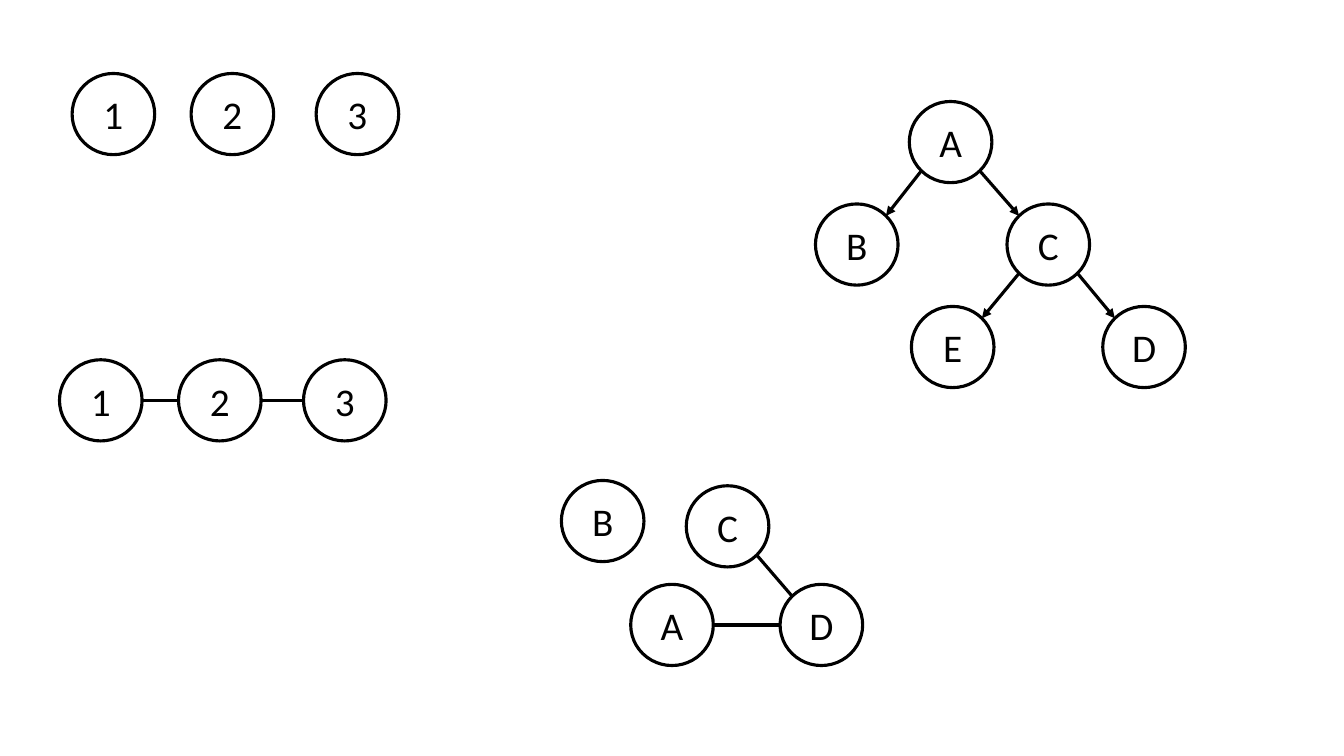
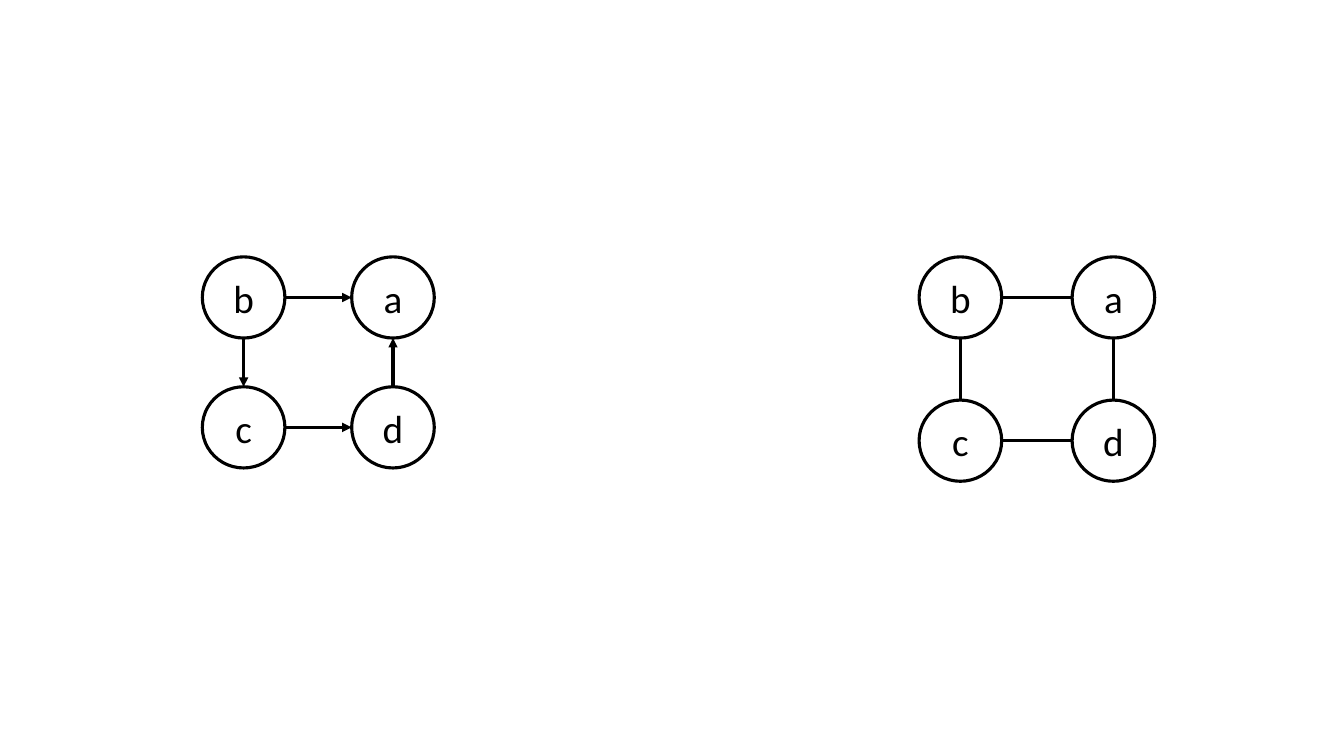
"""Build two slides of small graphs made of labelled circles and edges."""
from lxml import etree
from math import cos, pi, sin
from pptx import Presentation
from pptx.dml.color import RGBColor
from pptx.enum import shapes, text
from pptx.oxml.ns import qn
from pptx.util import Pt

COLORS = {"ink": "000000"}
FONT = "Calibri"
NODE_W, NODE_H, LINE_W = 59, 58, 2.25
TOP, TOP_LEFT, LEFT, BOTTOM_LEFT, BOTTOM, BOTTOM_RIGHT, RIGHT, TOP_RIGHT = range(8)


def row(x, y):
    return {"1": (x, y), "2": (x + 85, y), "3": (x + 174.3, y)}


def square(x, y, dx, dy):
    return {"b": (x, y), "a": (x + dx, y), "c": (x, y + dy), "d": (x + dx, y + dy)}


def tree(y, step):
    return {"A": (649.5, y), "B": (582.5, y + step), "C": (719.3, y + step),
            "E": (651, y + 2 * step), "D": (787.7, y + 2 * step)}


SQUARE_EDGES = [("d", TOP, "a"), ("c", RIGHT, "d"), ("b", RIGHT, "a"), ("b", BOTTOM, "c")]

SLIDES = [
    [
        {"nodes": row(51.5, 52.5), "edges": [], "arrows": False},
        {"nodes": row(42.5, 257), "edges": [("1", RIGHT, "2"), ("2", RIGHT, "3")],
         "arrows": False},
        {"nodes": tree(72.5, 73.2), "arrows": True,
         "edges": [("A", BOTTOM_RIGHT, "C"), ("C", BOTTOM_RIGHT, "D"),
                   ("A", BOTTOM_LEFT, "B"), ("C", BOTTOM_LEFT, "E")]},
        {"nodes": {"C": (490.2, 347), "D": (557.2, 417.4), "A": (450.5, 417.4),
                   "B": (401, 343.2)},
         "edges": [("C", BOTTOM_RIGHT, "D"), ("D", LEFT, "A")], "arrows": False},
    ],
    [
        {"nodes": square(144.5, 183.5, 106.7, 92.8), "edges": SQUARE_EDGES, "arrows": True},
        {"nodes": square(656.5, 183.5, 109.3, 102.3), "edges": SQUARE_EDGES, "arrows": False},
    ],
]


def rgb(name):
    return RGBColor.from_string(COLORS[name])


def put_text(sp, content, size=28, color="ink", align=text.PP_ALIGN.CENTER):
    tf = sp.text_frame
    tf.word_wrap = True
    tf.vertical_anchor = text.MSO_ANCHOR.MIDDLE
    p = tf.paragraphs[0]
    p.alignment = align
    r = p.add_run()
    r.text = content
    r.font.name, r.font.size = FONT, Pt(size)
    r.font.color.rgb = rgb(color)


def style_line(line):
    line.color.rgb = rgb("ink")
    line.width = Pt(LINE_W)


def add_node(s, label, x, y):
    sp = s.shapes.add_shape(shapes.MSO_SHAPE.OVAL, Pt(x), Pt(y), Pt(NODE_W), Pt(NODE_H))
    sp.shadow.inherit = False
    sp.fill.background()
    style_line(sp.line)
    put_text(sp, label)
    return sp


def site_point(sp, site):
    angle = site * pi / 4
    return (round(sp.left + sp.width / 2 * (1 - sin(angle))),
            round(sp.top + sp.height / 2 * (1 - cos(angle))))


def add_edge(s, start, site, end, arrow):
    ends = [("a:stCxn", start, site), ("a:endCxn", end, (site + 4) % 8)]
    points = [xy for _, sp, i in ends for xy in site_point(sp, i)]
    cxn = s.shapes.add_connector(shapes.MSO_CONNECTOR.STRAIGHT, *points)
    style_line(cxn.line)
    props = cxn._element.find(".//" + qn("p:cNvCxnSpPr"))
    for tag, sp, i in ends:
        etree.SubElement(props, qn(tag), id=str(sp.shape_id), idx=str(i))
    sp_pr = cxn._element.spPr
    if arrow:
        etree.SubElement(sp_pr.find(qn("a:ln")), qn("a:tailEnd"), type="triangle")
    etree.SubElement(sp_pr, qn("a:effectLst"))


def main():
    prs = Presentation()
    prs.slide_width, prs.slide_height = Pt(960), Pt(540)
    for graphs in SLIDES:
        s = prs.slides.add_slide(prs.slide_layouts[6])
        for graph in graphs:
            nodes = {label: add_node(s, label, *at) for label, at in graph["nodes"].items()}
            for start, site, end in graph["edges"]:
                add_edge(s, nodes[start], site, nodes[end], graph["arrows"])
    prs.save("out.pptx")


if __name__ == "__main__":
    main()
